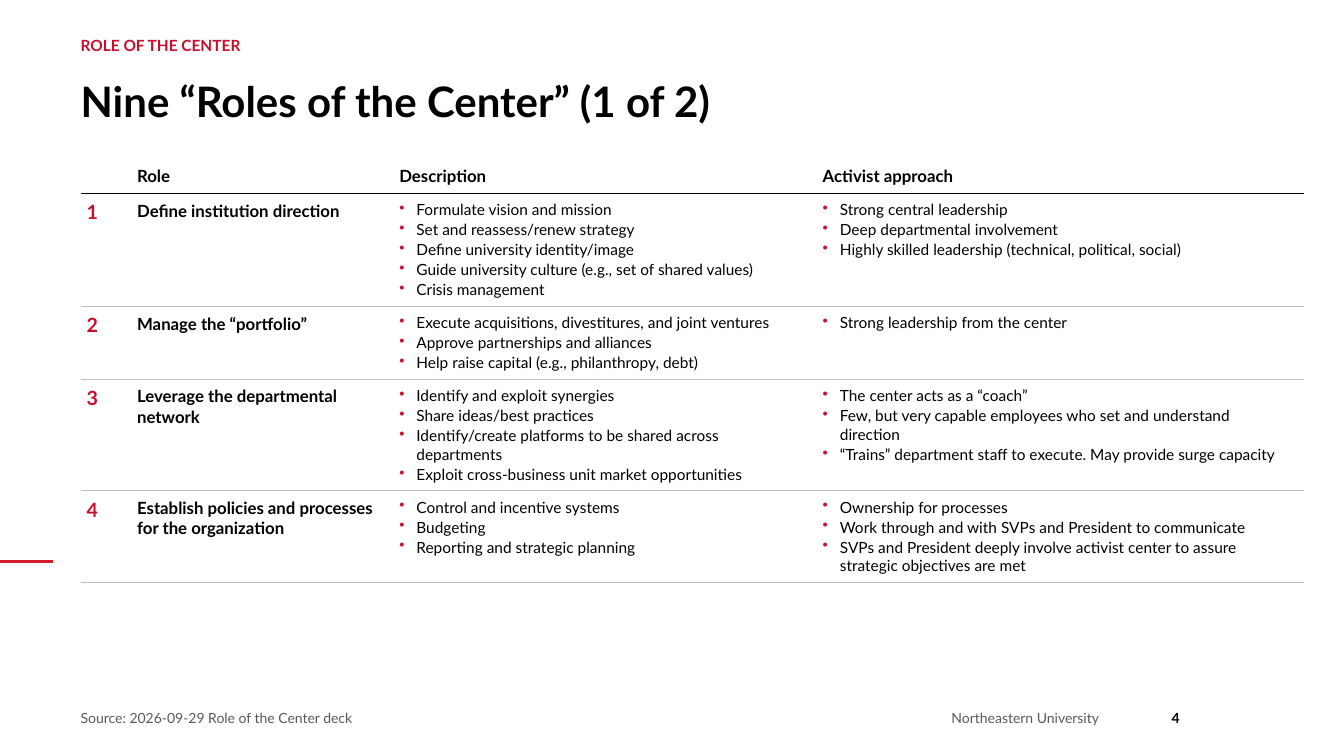
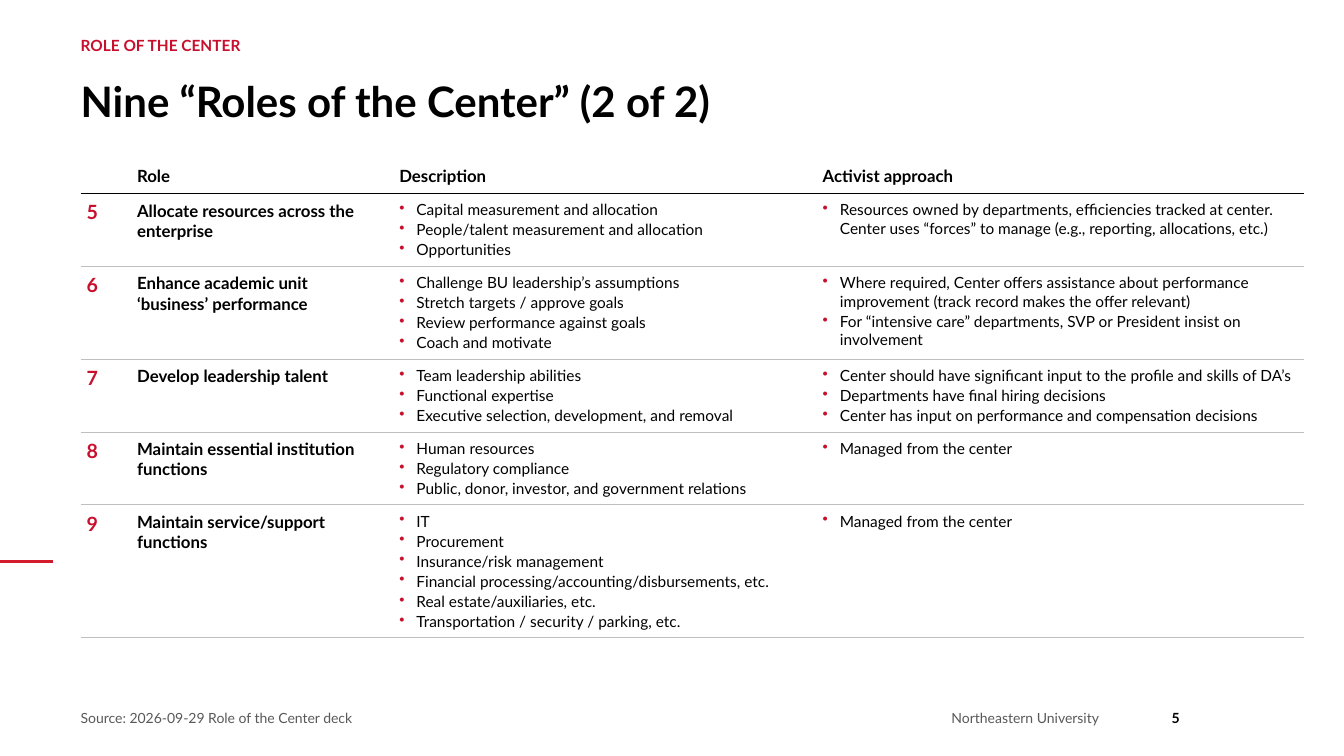
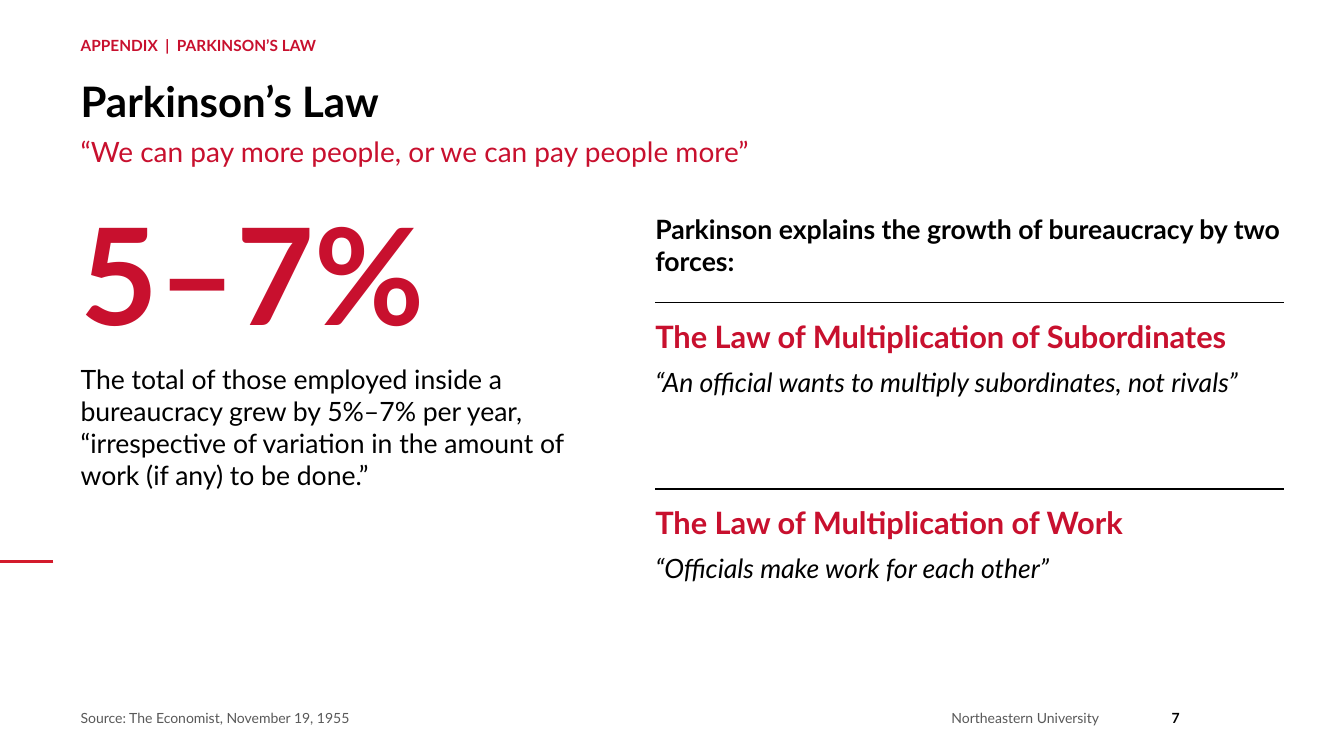
from dataclasses import dataclass

from lxml import etree
from pptx import Presentation
from pptx.dml.color import RGBColor
from pptx.enum import shapes, text
from pptx.oxml import ns
from pptx.util import Emu, Pt

PX = 9144  # EMU in one px: 100 px to the inch
LEFT, TOP, MIDDLE, BOTTOM = 80, text.MSO_ANCHOR.TOP, text.MSO_ANCHOR.MIDDLE, text.MSO_ANCHOR.BOTTOM
PLAIN_TABLE = "{2D5ABB26-0587-4C30-8999-92F81FD0307C}"


@dataclass(frozen=True)
class Style:
    size: float
    color: str
    bold: bool = False
    italic: bool = False


class Theme:
    font = "Lato"
    red, accent, black, gray, hairline = "C8102E", "D31B2C", "000000", "595959", "BFBFBF"
    title = Style(30, black, bold=True)
    kicker = Style(11, red, bold=True)
    subtitle = Style(20, red)
    figure = Style(96, red, bold=True)
    body = Style(19, black)
    lead = Style(19, black, bold=True)
    quote = Style(19, black, italic=True)
    law = Style(22, red, bold=True)
    footer = Style(10, gray)
    page = Style(10, black, bold=True)
    number = Style(14, red, bold=True)
    role = Style(12, black, bold=True)
    item = Style(11, black)


def px(*lengths):
    return [Emu(length * PX) for length in lengths]


def child(parent, tag, **attributes):
    return etree.SubElement(parent, ns.qn(tag), attributes)


class Deck:
    def __init__(self):
        self.prs = Presentation()
        self.prs.slide_width, self.prs.slide_height = px(1333, 750)
        self.slide = None

    # Slide frame: side mark, kicker, title and footer
    def new_slide(self, kicker, title, source, page):
        self.slide = self.prs.slides.add_slide(self.prs.slide_layouts[5])
        self.line(53, 557, 0, 557, Theme.accent, 2)
        heading = self.slide.shapes.title
        heading.left, heading.top, heading.width, heading.height = px(LEFT, 58, 1193, 68)
        self.fill_frame(heading.text_frame, [(title, Theme.title)], BOTTOM)
        heading.text_frame.paragraphs[0].line_spacing = 0.9
        self.text(LEFT, 32, 800, 25, [(kicker, Theme.kicker)], MIDDLE)
        self.text(LEFT, 700, 650, 24, [(source, Theme.footer)], MIDDLE)
        self.text(730, 700, 360, 24, [("Northeastern University", Theme.footer)], MIDDLE, right=True)
        self.text(1115, 700, 55, 24, [(page, Theme.page)], MIDDLE, right=True)

    # Text
    def format(self, paragraph, words, style):
        paragraph.text = words
        font = paragraph.font
        font.name, font.size = Theme.font, Pt(style.size)
        font.bold, font.italic = style.bold, style.italic
        font.color.rgb = RGBColor.from_string(style.color)

    def fill_frame(self, frame, parts, anchor, right=False, gap=0):
        frame.word_wrap, frame.auto_size = True, text.MSO_AUTO_SIZE.NONE
        frame.vertical_anchor = anchor
        frame.margin_left = frame.margin_top = frame.margin_right = frame.margin_bottom = 0
        for index, (words, style) in enumerate(parts):
            paragraph = frame.add_paragraph() if index else frame.paragraphs[0]
            paragraph.alignment = text.PP_ALIGN.RIGHT if right else text.PP_ALIGN.LEFT
            if index:
                paragraph.space_before = Pt(gap)
            self.format(paragraph, words, style)

    def text(self, x, y, w, h, parts, anchor=TOP, right=False, gap=0):
        box = self.slide.shapes.add_textbox(*px(x, y, w, h))
        self.fill_frame(box.text_frame, parts, anchor, right, gap)

    # Lines
    def line(self, x1, y1, x2, y2, color, width):
        rule = self.slide.shapes.add_connector(shapes.MSO_CONNECTOR.STRAIGHT, *px(x1, y1, x2, y2))
        rule.line.color.rgb = RGBColor.from_string(color)
        rule.line.width = Pt(width)
        child(rule._element.spPr, "a:effectLst")

    # Table
    def bullet(self, paragraph):
        properties = paragraph._p.get_or_add_pPr()
        properties.set("marL", str(17 * PX))
        properties.set("indent", str(-17 * PX))
        child(child(properties, "a:buClr"), "a:srgbClr", val=Theme.red)
        child(properties, "a:buChar", char="•")

    def cell(self, cell, lines, style, anchor=TOP, bulleted=False):
        cell.margin_left, cell.margin_top, cell.margin_right, cell.margin_bottom = px(6, 7, 10, 7)
        cell.vertical_anchor = anchor
        for index, words in enumerate(lines):
            paragraph = cell.text_frame.add_paragraph() if index else cell.text_frame.paragraphs[0]
            if bulleted:
                self.bullet(paragraph)
            if index:
                paragraph.space_before = Pt(1)
            self.format(paragraph, words, style)

    def underline(self, cell, color, width):
        border = child(cell._tc.get_or_add_tcPr(), "a:lnB", w=str(Pt(width)))
        child(child(border, "a:solidFill"), "a:srgbClr", val=color)
        cell.fill.background()

    def roles_table(self, first_number, roles):
        widths = (50, 260, 420, 483)
        heights = [42] + [60] * len(roles)
        frame = self.slide.shapes.add_table(
            len(heights), len(widths), *px(LEFT, 150, sum(widths), sum(heights)))
        table = frame.table
        table.first_row = table.horz_banding = False
        table._tbl.tblPr.find(ns.qn("a:tableStyleId")).text = PLAIN_TABLE
        for column, width in zip(table.columns, px(*widths)):
            column.width = width
        for row, height in zip(table.rows, px(*heights)):
            row.height = height

        for column, heading in enumerate(("Role", "Description", "Activist approach"), 1):
            self.cell(table.cell(0, column), [heading], Theme.role, BOTTOM)
        for row, (role, description, approach) in enumerate(roles, 1):
            self.cell(table.cell(row, 0), [str(first_number + row - 1)], Theme.number)
            self.cell(table.cell(row, 1), [role], Theme.role)
            self.cell(table.cell(row, 2), description, Theme.item, bulleted=True)
            self.cell(table.cell(row, 3), approach, Theme.item, bulleted=True)
        for index, row in enumerate(table.rows):
            for cell in row.cells:
                self.underline(cell, *((Theme.hairline, 0.75) if index else (Theme.black, 1.5)))

    # A law under its rule
    def law(self, y, name, quote):
        self.line(650, y, 1273, y, Theme.black, 1)
        self.text(650, y + 15, 623, 150, [(name, Theme.law), (quote, Theme.quote)], gap=8)


# Each role: name, description, activist approach
ROLES = [
    ("Define institution direction",
     ["Formulate vision and mission",
      "Set and reassess/renew strategy",
      "Define university identity/image",
      "Guide university culture (e.g., set of shared values)",
      "Crisis management"],
     ["Strong central leadership",
      "Deep departmental involvement",
      "Highly skilled leadership (technical, political, social)"]),
    ("Manage the “portfolio”",
     ["Execute acquisitions, divestitures, and joint ventures",
      "Approve partnerships and alliances",
      "Help raise capital (e.g., philanthropy, debt)"],
     ["Strong leadership from the center"]),
    ("Leverage the departmental network",
     ["Identify and exploit synergies",
      "Share ideas/best practices",
      "Identify/create platforms to be shared across departments",
      "Exploit cross-business unit market opportunities"],
     ["The center acts as a “coach”",
      "Few, but very capable employees who set and understand direction",
      "“Trains” department staff to execute. May provide surge capacity"]),
    ("Establish policies and processes for the organization",
     ["Control and incentive systems",
      "Budgeting",
      "Reporting and strategic planning"],
     ["Ownership for processes",
      "Work through and with SVPs and President to communicate",
      "SVPs and President deeply involve activist center to assure "
      "strategic objectives are met"]),
    ("Allocate resources across the enterprise",
     ["Capital measurement and allocation",
      "People/talent measurement and allocation",
      "Opportunities"],
     ["Resources owned by departments, efficiencies tracked at center. "
      "Center uses “forces” to manage (e.g., reporting, allocations, etc.)"]),
    ("Enhance academic unit ‘business’ performance",
     ["Challenge BU leadership’s assumptions",
      "Stretch targets / approve goals",
      "Review performance against goals",
      "Coach and motivate"],
     ["Where required, Center offers assistance about performance "
      "improvement (track record makes the offer relevant)",
      "For “intensive care” departments, SVP or President insist on involvement"]),
    ("Develop leadership talent",
     ["Team leadership abilities",
      "Functional expertise",
      "Executive selection, development, and removal"],
     ["Center should have significant input to the profile and skills of DA’s",
      "Departments have final hiring decisions",
      "Center has input on performance and compensation decisions"]),
    ("Maintain essential institution functions",
     ["Human resources",
      "Regulatory compliance",
      "Public, donor, investor, and government relations"],
     ["Managed from the center"]),
    ("Maintain service/support functions",
     ["IT",
      "Procurement",
      "Insurance/risk management",
      "Financial processing/accounting/disbursements, etc.",
      "Real estate/auxiliaries, etc.",
      "Transportation / security / parking, etc."],
     ["Managed from the center"]),
]


def main():
    deck = Deck()

    # Roles of the center, in two parts
    for part, (start, end) in enumerate(((0, 4), (4, 9)), 1):
        deck.new_slide("ROLE OF THE CENTER", f"Nine “Roles of the Center” ({part} of 2)",
                       "Source: 2026-09-29 Role of the Center deck", str(part + 3))
        deck.roles_table(start + 1, ROLES[start:end])

    # Parkinson's Law
    deck.new_slide("APPENDIX  |  PARKINSON’S LAW", "Parkinson’s Law",
                   "Source: The Economist, November 19, 1955", "7")
    deck.text(LEFT, 130, 1193, 40,
              [("“We can pay more people, or we can pay people more”", Theme.subtitle)], MIDDLE)
    deck.text(LEFT, 195, 520, 150, [("5–7%", Theme.figure)], MIDDLE)
    deck.text(LEFT, 360, 520, 300,
              [("The total of those employed inside a bureaucracy grew by 5%–7% per year, "
                "“irrespective of variation in the amount of work (if any) to be done.”",
                Theme.body)])
    deck.text(650, 195, 623, 80,
              [("Parkinson explains the growth of bureaucracy by two forces:", Theme.lead)], BOTTOM)
    deck.law(300, "The Law of Multiplication of Subordinates",
             "“An official wants to multiply subordinates, not rivals”")
    deck.law(485, "The Law of Multiplication of Work", "“Officials make work for each other”")

    deck.prs.save("out.pptx")


if __name__ == "__main__":
    main()
